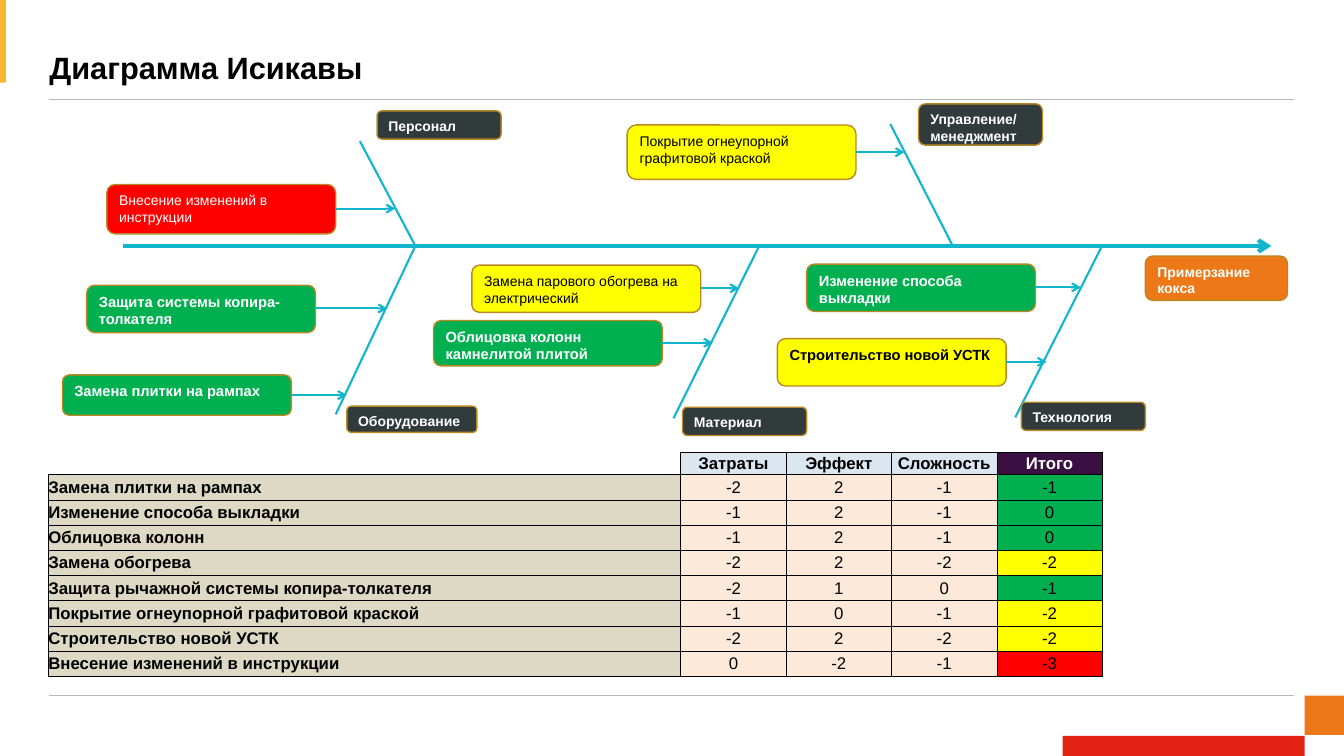
import pptx
import pptx.dml.color
import pptx.enum.shapes
import pptx.enum.text
import pptx.oxml
import pptx.oxml.ns
import pptx.util

PX = 9144  # EMU per px, 100 px to the inch
FONT = "Arial"
WHITE, BLACK = "FFFFFF", "000000"
GREEN, YELLOW, RED = "00B050", "FFFF00", "FF0000"
TEAL, DARK, GOLD, ORANGE = "12B6CC", "313B3B", "B98822", "ED7817"
SHAPES = pptx.enum.shapes.MSO_SHAPE
ANCHOR = pptx.enum.text.MSO_ANCHOR
ALIGN = pptx.enum.text.PP_ALIGN

# Name, outer end of the bone, joint on the spine, label box
CATEGORIES = [
    ("Персонал", (295, 37), 350, (312, 7, 123, 28)),
    ("Управление/ менеджмент", (821, 20), 883, (849, 0, 123, 41)),
    ("Технология", (945, 311), 1031, (951, 296, 123, 28)),
    ("Оборудование", (271, 308), 350, (282, 300, 129, 26)),
    ("Материал", (606, 312), 691, (615, 301, 123, 28)),
]
# Text, left, top, height, arrow tip, fill, text colour, bold
CAUSES = [
    ("Внесение изменений в инструкции", 44, 80, 49, 330, RED, WHITE, False),
    ("Замена плитки на рампах", 0, 269, 40, 282, GREEN, WHITE, True),
    ("Защита системы копира-толкателя", 24, 180, 47, 322, GREEN, WHITE, True),
    ("Замена парового обогрева на электрический", 406, 160, 47, 671, YELLOW, BLACK, False),
    ("Облицовка колонн камнелитой плитой", 368, 215, 45, 645, GREEN, WHITE, True),
    ("Изменение способа выкладки", 738, 159, 47, 1010, GREEN, WHITE, True),
    ("Покрытие огнеупорной графитовой краской", 560, 21, 54, 835, YELLOW, BLACK, False),
    ("Строительство новой УСТК", 709, 233, 47, 976, YELLOW, BLACK, True),
]
CAUSE_WIDTH = 227
HEADERS = ["Затраты", "Эффект", "Сложность", "Итого"]
SCORES = [
    ("Замена плитки на рампах", -2, 2, -1),
    ("Изменение способа выкладки", -1, 2, -1),
    ("Облицовка колонн", -1, 2, -1),
    ("Замена обогрева", -2, 2, -2),
    ("Защита рычажной системы копира-толкателя", -2, 1, 0),
    ("Покрытие огнеупорной графитовой краской", -1, 0, -1),
    ("Строительство новой УСТК", -2, 2, -2),
    ("Внесение изменений в инструкции", 0, -2, -1),
]


def rgb(value):
    return pptx.dml.color.RGBColor.from_string(value)


def emu(lengths):
    return [length * PX for length in lengths]


def style_text(paragraph, size, color, bold):
    font = paragraph.font
    font.name, font.size, font.bold = FONT, pptx.util.Pt(size), bold
    font.color.rgb = rgb(color)


def set_margins(target, size):
    target.margin_left = target.margin_right = size
    target.margin_top = target.margin_bottom = size


def add_block(page, kind, box, fill):
    shape = page.shapes.add_shape(kind, *emu(box))
    shape.shadow.inherit = False
    shape.fill.solid()
    shape.fill.fore_color.rgb = rgb(fill)
    shape.line.fill.background()
    return shape


def add_card(page, box, text, fill, color=WHITE, size=10, bold=True):
    card = add_block(page, SHAPES.FLOWCHART_ALTERNATE_PROCESS, box, fill)
    card.line.color.rgb = rgb(GOLD)
    card.line.width = pptx.util.Pt(1)
    frame = card.text_frame
    frame.word_wrap = True
    frame.vertical_anchor = ANCHOR.TOP
    frame.text = text
    frame.paragraphs[0].alignment = ALIGN.LEFT
    style_text(frame.paragraphs[0], size, color, bold)


def add_line(page, start, end, color=TEAL, width=1.5, arrow=False):
    line = page.shapes.add_connector(
        pptx.enum.shapes.MSO_CONNECTOR.STRAIGHT, *emu(start + end))
    line.line.color.rgb = rgb(color)
    line.line.width = pptx.util.Pt(width)
    if arrow:
        outline = line.line._get_or_add_ln()
        pptx.oxml.ns.qn("a:tailEnd")
        tail = outline.makeelement(pptx.oxml.ns.qn("a:tailEnd"), {"type": "arrow"})
        outline.append(tail)
    properties = line._element.spPr
    properties.append(properties.makeelement(pptx.oxml.ns.qn("a:effectLst"), {}))


def add_frame(page, box):
    """Corner blocks and the two rules around the content."""
    left, top, width, height = box
    right, bottom = left + width, top + height
    add_block(page, SHAPES.RECTANGLE, (right - 39, bottom - 60, 39, 39), ORANGE)
    add_block(page, SHAPES.RECTANGLE, (right - 279, bottom - 20, 240, 20), "E32112")
    add_block(page, SHAPES.RECTANGLE, (left, top, 6, 82), "FAB82E")
    for y in (top + 99, bottom - 60):
        add_line(page, (left + 49, y), (right - 50, y), "B7B7B6", 0.5)


def add_title(page, box, text):
    frame = page.shapes.add_textbox(*emu(box)).text_frame
    frame.word_wrap = True
    frame.vertical_anchor = ANCHOR.BOTTOM
    set_margins(frame, 0)
    frame.text = text
    frame.paragraphs[0].line_spacing = pptx.util.Pt(23)
    style_text(frame.paragraphs[0], 22, BLACK, True)


def add_fishbone(page, box):
    left, top, width, _ = box
    spine = top + 141
    add_line(page, (left + 60, spine), (left + width - 16, spine), width=3, arrow=True)
    add_card(page, (left + width - 141, top + 151, 141, 44), "Примерзание кокса", ORANGE)
    for name, (x, y), joint, (label_x, label_y, label_width, label_height) in CATEGORIES:
        add_line(page, (left + x, top + y), (left + joint, spine))
        label = (left + label_x, top + label_y, label_width, label_height)
        add_card(page, label, name, DARK)
    for text, x, y, height, tip, fill, color, bold in CAUSES:
        cause = (left + x, top + y, CAUSE_WIDTH, height)
        add_card(page, cause, text, fill, color, 10.5 if bold else 10, bold)
        middle = top + y + height // 2
        add_line(page, (left + x + CAUSE_WIDTH, middle), (left + tip, middle), arrow=True)


def set_border(cell, sides, visible=True):
    properties = cell._tc.get_or_add_tcPr()
    fill = f'<a:solidFill><a:srgbClr val="{BLACK}"/></a:solidFill>' if visible else "<a:noFill/>"
    for position, side in enumerate(sides):
        properties.insert(position, pptx.oxml.parse_xml(
            f'<a:ln{side} {pptx.oxml.ns.nsdecls("a")} w="6350">{fill}</a:ln{side}>'))


def fill_cell(cell, text, fill, color=BLACK, bold=False, align=ALIGN.CENTER):
    cell.text = str(text)
    cell.vertical_anchor = ANCHOR.MIDDLE
    set_margins(cell, 0)
    cell.fill.solid()
    cell.fill.fore_color.rgb = rgb(fill)
    cell.text_frame.paragraphs[0].alignment = align
    style_text(cell.text_frame.paragraphs[0], 12, color, bold)
    set_border(cell, "LRTB")


def clear_corner(cell):
    set_margins(cell, 0)
    cell.fill.background()
    paragraph = cell.text_frame.paragraphs[0]._p
    paragraph.append(paragraph.makeelement(pptx.oxml.ns.qn("a:endParaRPr"), {"sz": "1200"}))
    set_border(cell, "RB")
    set_border(cell, "LT", visible=False)
    properties = cell._tc.tcPr
    properties.insert(1, properties[2])  # schema order: L, R, T, B


def total_color(total):
    return GREEN if total > -2 else YELLOW if total == -2 else RED


def add_score_table(page, box):
    table = page.shapes.add_table(len(SCORES) + 1, len(HEADERS) + 1, *emu(box)).table
    table.first_row = table.horz_banding = False
    for column, width in zip(table.columns, (627, 105, 104, 105, 104)):
        column.width = width * PX
    for number, row in enumerate(table.rows):
        row.height = (25 if number else 22) * PX
    clear_corner(table.cell(0, 0))
    for column, header in enumerate(HEADERS, 1):
        last = column == len(HEADERS)
        fill_cell(table.cell(0, column), header, "391041" if last else "DCE6F1",
                  WHITE if last else BLACK, True)
    for row, (name, *scores) in enumerate(SCORES, 1):
        fill_cell(table.cell(row, 0), name, "DDD9C4", bold=True, align=ALIGN.LEFT)
        for column, score in enumerate(scores, 1):
            fill_cell(table.cell(row, column), score, "FDE9D9")
        total = sum(scores)
        fill_cell(table.cell(row, len(HEADERS)), total, total_color(total))


def main():
    deck = pptx.Presentation()
    deck.slide_width, deck.slide_height = emu((1333, 750))
    page = deck.slides.add_slide(deck.slide_layouts[6])
    add_frame(page, (0, 0, 1333, 750))
    add_title(page, (49, 18, 1068, 67), "Диаграмма Исикавы")
    add_fishbone(page, (62, 103, 1215, 329))
    add_score_table(page, (48, 449, 1045, 222))
    deck.save("out.pptx")


if __name__ == "__main__":
    main()
